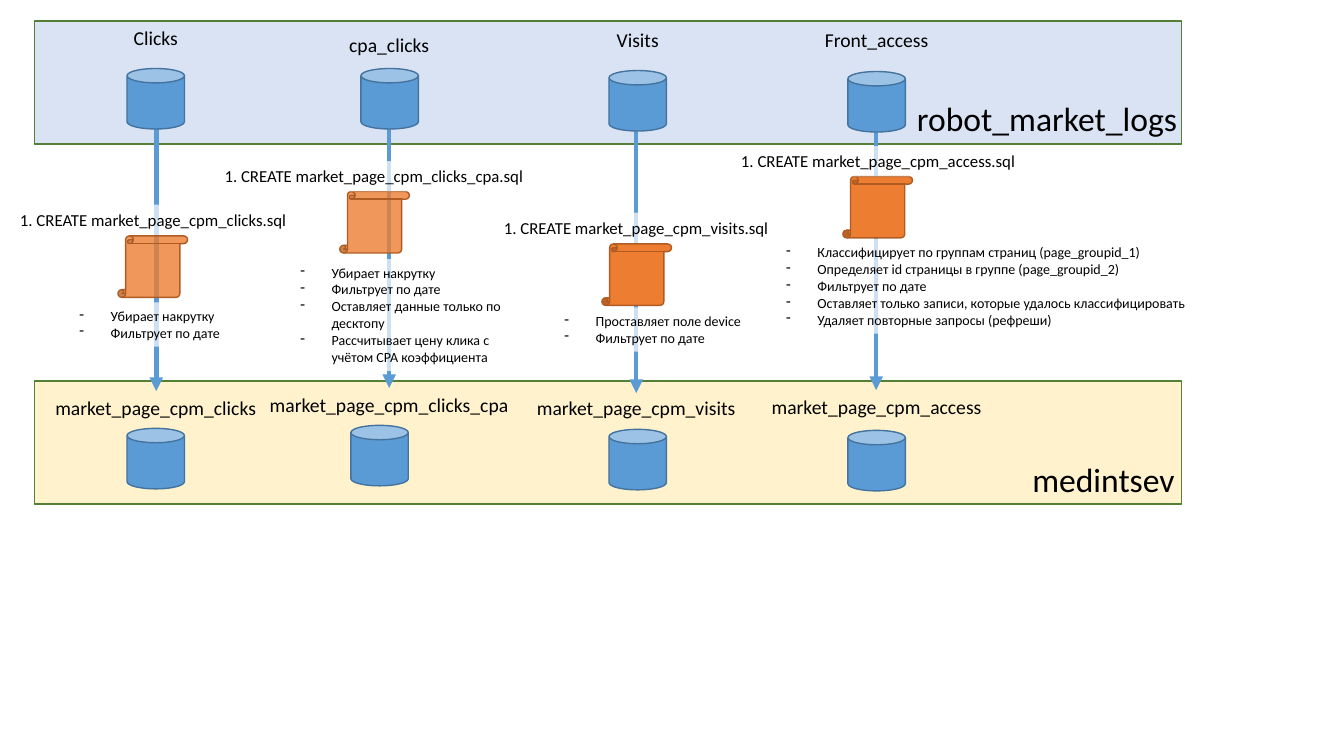
"""Build the slide that shows how log tables become market page tables."""
from dataclasses import dataclass

from lxml.etree import SubElement
from pptx import Presentation
from pptx.dml.color import RGBColor
from pptx.enum.shapes import MSO_CONNECTOR, MSO_SHAPE
from pptx.enum.text import MSO_AUTO_SIZE, PP_ALIGN
from pptx.oxml.ns import qn
from pptx.util import Pt

EMU_PER_PX = 9144
BLUE, BLUE_EDGE = "5B9BD5", "43739E"
ORANGE, ORANGE_EDGE = "ED7D31", "AF5C24"
BAND_EDGE, WHITE, BLACK = "538035", "FFFFFF", "000000"
CAN_SIZE = (57, 60)
SCROLL_SIZE = (69, 61)
LABEL_HEIGHT, SCRIPT_HEIGHT, BAND_TITLE_HEIGHT = 34, 30, 50
BULLET_INDENT = 31


@dataclass
class Flow:
    """One column: source table, script, steps and target table."""
    source: str
    source_box: tuple
    source_can: tuple
    arrow: tuple
    script_box: tuple
    scroll: tuple
    scroll_opacity: int
    steps: tuple
    steps_box: tuple
    steps_wrap: bool
    target: str
    target_box: tuple
    target_can: tuple


FLOWS = (
    Flow("Clicks", (114, 21, 81), (126, 68), (155, 128, 388),
         (8, 203, 288), (117, 234), 79,
         ("Убирает накрутку", "Фильтрует по дате"),
         (69, 300, 163, 44), False,
         "market_page_cpm_clicks", (43, 388, 223), (126, 425)),
    Flow("cpa_clicks", (334, 28, 104), (358, 68), (386, 128, 385),
         (211, 160, 320), (337, 190), 79,
         ("Убирает накрутку", "Фильтрует по дате",
          "Оставляет данные только по десктопу",
          "Рассчитывает цену клика с учётом CPA коэффициента"),
         (288, 257, 225, 111), True,
         "market_page_cpm_clicks_cpa", (253, 385, 266), (348, 422)),
    Flow("Visits", (592, 23, 81), (604, 70), (631, 130, 390),
         (488, 211, 286), (597, 242), 100,
         ("Проставляет поле device", "Фильтрует по дате"),
         (550, 305, 198, 44), False,
         "market_page_cpm_visits", (522, 388, 218), (604, 426)),
    Flow("Front_access", (793, 23, 153), (841, 71), (869, 127, 387),
         (723, 145, 296), (836, 175), 100,
         ("Классифицирует по группам страниц (page_groupid_1)",
          "Определяет id страницы в группе (page_groupid_2)",
          "Фильтрует по дате",
          "Оставляет только записи, которые удалось классифицировать",
          "Удаляет повторные запросы (рефреши)"),
         (770, 237, 423, 94), False,
         "market_page_cpm_access", (746, 387, 247), (841, 427)),
)


def px(*lengths):
    """Turn px lengths into EMU."""
    return [length * EMU_PER_PX for length in lengths]


def color(hex_value):
    """Return the colour for a hex string."""
    return RGBColor.from_string(hex_value)


def apply_format(target, values):
    """Set every attribute named in a dict of format values."""
    for name, value in values.items():
        setattr(target, name, value)


def fill_shape(shape, hex_value, opacity=100):
    """Fill a shape with one colour, translucent when opacity is below 100."""
    shape.fill.solid()
    shape.fill.fore_color.rgb = color(hex_value)
    if opacity < 100:
        solid = shape.fill._xPr.find(qn("a:solidFill"))
        SubElement(solid[0], qn("a:alpha"), val=str(opacity * 1000))


def add_figure(slide, kind, box, fill, edge, opacity=100):
    """Add a preset shape with a fill and a one point outline."""
    shape = slide.shapes.add_shape(kind, *px(*box))
    shape.shadow.inherit = False
    fill_shape(shape, fill, opacity)
    shape.line.color.rgb = color(edge)
    shape.line.width = Pt(1)


def add_can(slide, corner):
    """Add the cylinder that stands for a table."""
    add_figure(slide, MSO_SHAPE.CAN, corner + CAN_SIZE, BLUE, BLUE_EDGE)


def add_arrow(slide, x, top, bottom):
    """Add a vertical arrow that points down."""
    connector = slide.shapes.add_connector(
        MSO_CONNECTOR.STRAIGHT, *px(x, top, x, bottom))
    connector.line.color.rgb = color(BLUE)
    connector.line.width = Pt(3.25)
    SubElement(connector.line._get_or_add_ln(), qn("a:tailEnd"), type="triangle")
    SubElement(connector._element.spPr, qn("a:effectLst"))


def add_text(slide, box, lines, size, wrap=True, opacity=0, bullets=False):
    """Add a text box, with an optional white veil and dash bullets."""
    shape = slide.shapes.add_textbox(*px(*box))
    if opacity:
        fill_shape(shape, WHITE, opacity)
    frame = shape.text_frame
    apply_format(frame, {"word_wrap": wrap,
                         "auto_size": MSO_AUTO_SIZE.SHAPE_TO_FIT_TEXT})
    for index, line in enumerate(lines):
        paragraph = frame.add_paragraph() if index else frame.paragraphs[0]
        if bullets:
            properties = paragraph._p.get_or_add_pPr()
            indent = BULLET_INDENT * EMU_PER_PX
            properties.set("marL", str(indent))
            properties.set("indent", str(-indent))
            SubElement(properties, qn("a:buChar"), char="-")
        else:
            paragraph.alignment = PP_ALIGN.CENTER
        run = paragraph.add_run()
        run.text = line
        apply_format(run.font, {"name": "Calibri", "size": Pt(size)})
        run.font.color.rgb = color(BLACK)


def add_band(slide, top, fill, title, title_corner):
    """Add a schema band with its large title."""
    add_figure(slide, MSO_SHAPE.RECTANGLE, (34, top, 1138, 122), fill, BAND_EDGE)
    add_text(slide, title_corner + (283, BAND_TITLE_HEIGHT), [title], 24)


def add_flow(slide, flow):
    """Add one column from source table to target table."""
    add_arrow(slide, *flow.arrow)
    add_can(slide, flow.source_can)
    add_can(slide, flow.target_can)
    add_text(slide, flow.source_box + (LABEL_HEIGHT,), [flow.source], 14)
    add_figure(slide, MSO_SHAPE.VERTICAL_SCROLL, flow.scroll + SCROLL_SIZE,
               ORANGE, ORANGE_EDGE, flow.scroll_opacity)
    add_text(slide, flow.script_box + (SCRIPT_HEIGHT,),
             [f"1. CREATE {flow.target}.sql"], 12, wrap=False, opacity=70)
    add_text(slide, flow.steps_box, flow.steps, 10, wrap=flow.steps_wrap,
             opacity=70, bullets=True)
    add_text(slide, flow.target_box + (LABEL_HEIGHT,), [flow.target], 14)


def main():
    """Build and save the presentation."""
    presentation = Presentation()
    width, height = px(1333, 750)
    apply_format(presentation, {"slide_width": width, "slide_height": height})
    slide = presentation.slides.add_slide(presentation.slide_layouts[6])
    add_band(slide, 378, "FFF2CC", "medintsev", (953, 450))
    add_band(slide, 21, "DAE3F3", "robot_market_logs", (897, 92))
    for flow in FLOWS:
        add_flow(slide, flow)
    presentation.save("out.pptx")


if __name__ == "__main__":
    main()
